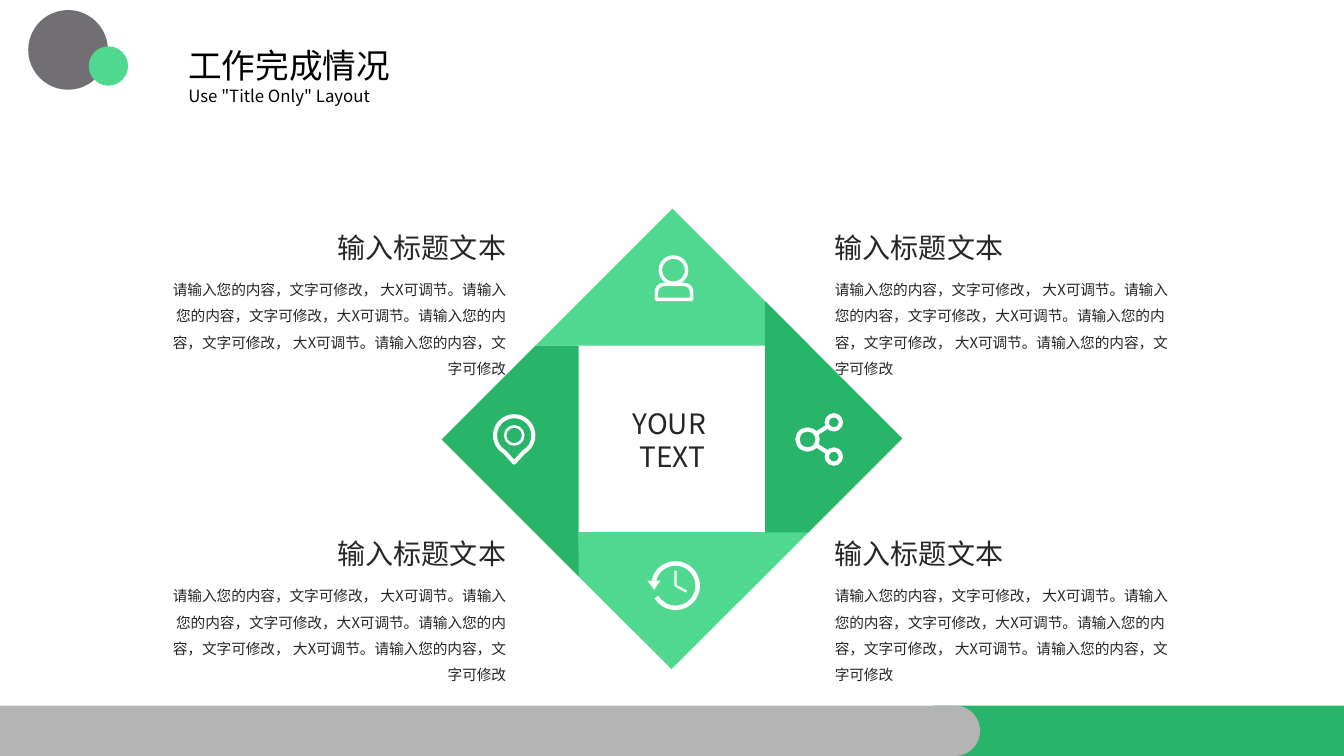
from math import cos, radians, sin

from lxml.etree import SubElement
from pptx import Presentation
from pptx.dml.color import RGBColor as RGB
from pptx.enum.shapes import MSO_SHAPE as Shape
from pptx.enum.text import MSO_ANCHOR as Anchor, PP_ALIGN as Align
from pptx.oxml.ns import qn
from pptx.util import Inches, Pt

FONT = "Noto Sans CJK SC"
HUE = {"lime": "50D890", "green": "28B56A", "gray": "B4B4B4", "dark": "716F73",
       "white": "FFFFFF", "black": "000000", "ink": "262626"}
HEAD = "输入标题文本"
BODY = ("请输入您的内容，文字可修改， 大X可调节。请输入您的内容，文字可修改，大X可调节。"
        "请输入您的内容，文字可修改， 大X可调节。请输入您的内容，文字可修改")


def paint(shape, fill=None, line=None, width=0):
    """Give a shape a flat fill or a plain outline."""
    shape.shadow.inherit = False
    if fill:
        shape.fill.solid()
        shape.fill.fore_color.rgb = RGB.from_string(HUE[fill])
    else:
        shape.fill.background()
    if line:
        shape.line.color.rgb = RGB.from_string(HUE[line])
        shape.line.width = Pt(width)
    else:
        shape.line.fill.background()
    return shape


def place(slide, kind, box, **look):
    """Add a preset shape in a box given in inches."""
    return paint(slide.shapes.add_shape(kind, *map(Inches, box)), **look)


def trace(slide, x, y, dots, close=True, **look):
    """Draw a path through points measured from x, y."""
    pts = [(Inches(x + dx), Inches(y + dy)) for dx, dy in dots]
    form = slide.shapes.build_freeform(*pts[0])
    form.add_line_segments(pts[1:], close=close)
    return paint(form.convert_to_shape(), **look)


def ring(slide, x, y, r, width):
    """Draw a white ring about a centre."""
    place(slide, Shape.OVAL, (x - r, y - r, 2 * r, 2 * r), line="white", width=width)


def write(slide, box, lines, size, hue="ink", align=Align.LEFT, pad=0, gap=None):
    """Write paragraphs of one style in a box."""
    frame = slide.shapes.add_textbox(*map(Inches, box)).text_frame
    frame.word_wrap = True
    frame.vertical_anchor = Anchor.MIDDLE
    frame.margin_left = frame.margin_right = Inches(pad)
    frame.margin_top = frame.margin_bottom = Inches(pad / 2)
    frame.text = "\n".join(lines)
    for para in frame.paragraphs:
        para.alignment = align
        if gap:
            para.line_spacing = gap
        para.font.size = Pt(size)
        para.font.name = FONT
        para.font.color.rgb = RGB.from_string(HUE[hue])
        style = para._p.pPr.find(qn("a:defRPr"))
        SubElement(style, qn("a:ea")).set("typeface", FONT)


def footer(slide, y):
    """Lay the two rounded bars along the bottom."""
    for x, wide, hue in ((9.04, 4.78, "green"), (-0.46, 10.18, "gray")):
        bar = place(slide, Shape.ROUNDED_RECTANGLE, (x, y, wide, 0.5), fill=hue)
        bar.adjustments[0] = 0.5


def header(slide, x, y):
    """Place the two discs and the title lines."""
    place(slide, Shape.OVAL, (x, y, 0.79, 0.79), fill="dark")
    place(slide, Shape.OVAL, (x + 0.6, y + 0.36, 0.39, 0.39), fill="lime")
    write(slide, (x + 1.49, y + 0.3, 3.9, 0.5), ["工作完成情况"], 24, "black", pad=0.1)
    write(slide, (x + 1.49, y + 0.7, 3.9, 0.3), ['Use "Title Only" Layout'], 12,
          "black", pad=0.1)


def diamond(slide, x, y):
    """Build four blades round the centre text."""
    blades = (
        ("lime", [(1.36, 0.92), (0, 2.28), (-0.93, 1.35), (-0.92, 0.92)]),
        ("lime", [(1.37, -0.93), (-1.35, -0.93), (0.01, -2.29)]),
        ("green", [(-1.35, -0.93), (-0.92, -0.93), (-0.92, 1.36), (-2.28, 0)]),
        ("green", [(1.36, 0.92), (0.93, 0.92), (0.93, -1.37), (2.29, -0.01)]))
    for hue, dots in blades:
        trace(slide, x, y, dots, fill=hue)
    write(slide, (x - 0.84, y - 0.33, 1.7, 0.67), ["YOUR ", "TEXT"], 20,
          align=Align.CENTER)


def user(slide, x, y):
    """Draw a head and shoulders."""
    ring(slide, x, y - 0.08, 0.13, 2.5)
    bust = place(slide, Shape.ROUND_2_SAME_RECTANGLE, (x - 0.17, y + 0.06, 0.35, 0.15),
                 line="white", width=2.5)
    bust.adjustments[0] = 0.5


def clock(slide, x, y):
    """Draw a dial with a turning arrow."""
    dial = place(slide, Shape.ARC, (x - 0.22, y - 0.22, 0.44, 0.44),
                 line="white", width=3.2)
    dial.adjustments[0], dial.adjustments[1] = 193 * 0.6, 149 * 0.6
    trace(slide, x, y, [(-0.28, -0.05), (-0.15, -0.05), (-0.21, 0.04)], fill="white")
    trace(slide, x, y, [(0, -0.15), (0, 0), (0.11, 0.06)], close=False,
          line="white", width=1.6)


def pin(slide, x, y):
    """Draw a map pin."""
    turns = [radians(a) for a in range(120, 421, 10)]
    rim = [(0.19 * cos(a), 0.19 * sin(a)) for a in turns]
    trace(slide, x, y, rim + [(0, 0.27)], line="white", width=2.9)
    ring(slide, x, y, 0.09, 1.8)


def share(slide, x, y):
    """Draw a hub joined to two nodes."""
    ring(slide, x, y, 0.1, 3)
    for side in (-1, 1):
        ring(slide, x + 0.26, y + side * 0.17, 0.07, 3)
        trace(slide, x, y, [(0.09, side * 0.06), (0.2, side * 0.13)], close=False,
              line="white", width=3)


def notes(slide, x, y, align):
    """Write a heading over its body text."""
    shift = 1.72 if align == Align.RIGHT else 0
    write(slide, (x + shift, y, 1.69, 0.34), [HEAD], 20, align=align)
    write(slide, (x, y + 0.41, 3.41, 1.06), [BODY], 10.5, align=align, gap=1.5)


def main():
    """Build and save the slide."""
    deck = Presentation()
    deck.slide_width, deck.slide_height = Inches(13.33), Inches(7.5)
    slide = deck.slides.add_slide(deck.slide_layouts[6])
    footer(slide, 7)
    header(slide, 0.28, 0.1)
    diamond(slide, 6.66, 4.36)
    for x, align in ((8.28, Align.LEFT), (1.61, Align.RIGHT)):
        for y in (2.28, 5.32):
            notes(slide, x, y, align)
    user(slide, 6.68, 2.76)
    clock(slide, 6.7, 5.81)
    pin(slide, 5.1, 4.32)
    share(slide, 8.01, 4.36)
    deck.save("out.pptx")


if __name__ == "__main__":
    main()
